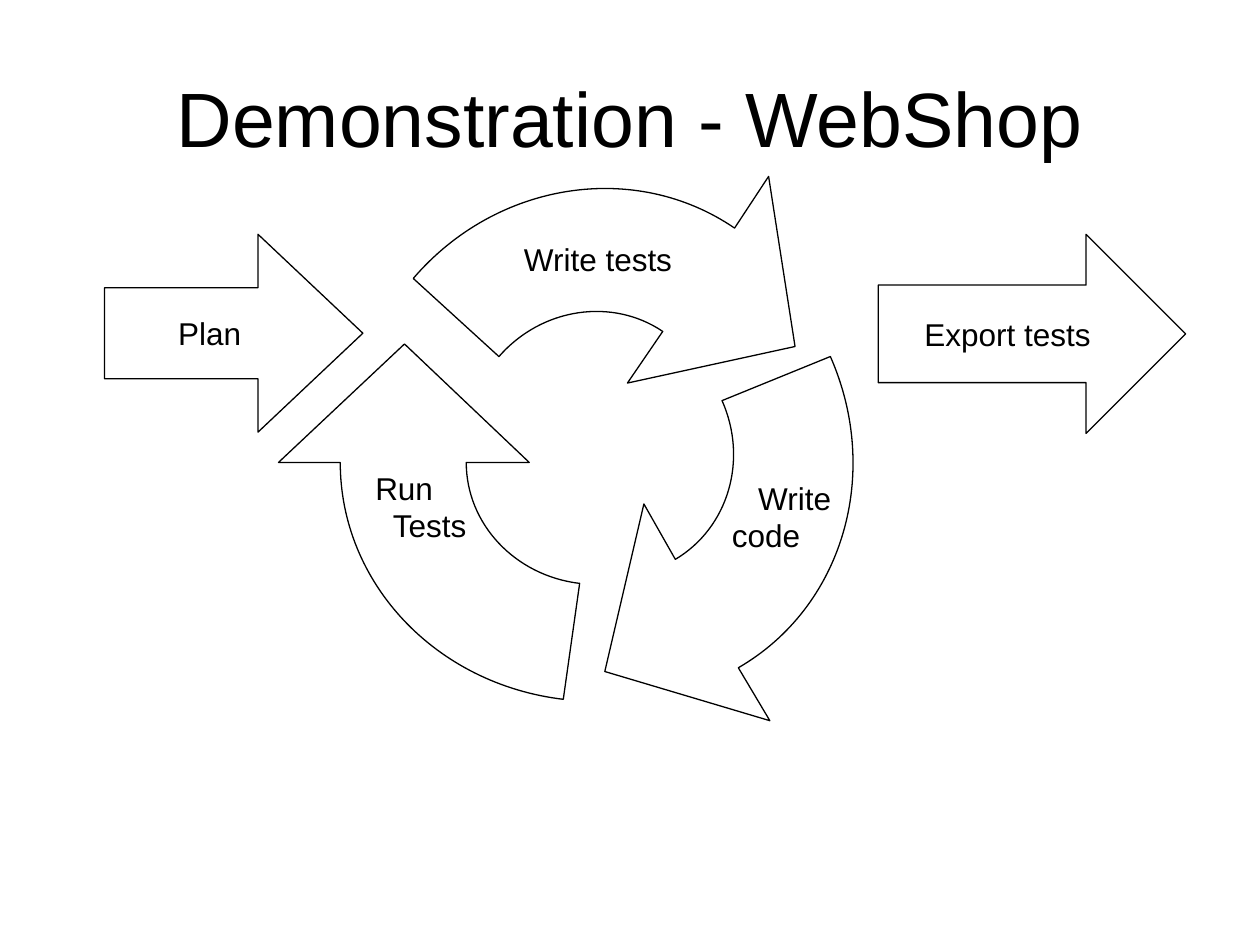
from math import cos, radians, sin

from lxml.etree import SubElement
from pptx import Presentation
from pptx.dml.color import RGBColor
from pptx.enum.shapes import MSO_SHAPE as Shape
from pptx.enum.text import MSO_ANCHOR as Anchor, PP_ALIGN as Align
from pptx.oxml.ns import qn
from pptx.util import Inches, Pt

COLUMNS, ROWS = 100, 75
CELL = Inches(0.1)
BLACK = "000000"
CYCLE_WIDTH, CYCLE_HEIGHT = 40.2, 37.8

RUN_TESTS_ARROW = [
    (37, 36.7), (37, 41.6, 40.9, 45.7, 46, 46.3),
    (44.7, 55.5), (34.6, 54.3, 27, 46.3, 27, 36.7),
    (22.1, 36.7), (32.1, 27.3), (42, 36.7),
]
WRITE_TESTS_ARROW = [
    (52.6, 26.3), (48.6, 23.6, 43, 24.4, 39.6, 28.3),
    (32.8, 22.1), (39.4, 14.4, 50.4, 12.7, 58.3, 18.1),
    (61, 14), (63.1, 27.5), (49.8, 30.4),
]
WRITE_CODE_ARROW = [
    (53.6, 44.4), (57.8, 41.9, 59.4, 36.5, 57.3, 31.8),
    (65.9, 28.3), (70, 37.6, 66.9, 48.2, 58.6, 53),
    (61.1, 57.2), (48, 53.3), (51.1, 40),
]


def grid(*cells):
    return [round(cell * CELL) for cell in cells]


def color(hex_value):
    return RGBColor.from_string(hex_value)


def format_paragraph(paragraph, size, align):
    paragraph.alignment = align
    paragraph.font.name = "Arial"
    paragraph.font.size = Pt(size)
    paragraph.font.color.rgb = color(BLACK)


def outline(arrow):
    arrow.shadow.inherit = False
    arrow.fill.background()
    arrow.line.color.rgb = color(BLACK)
    arrow.line.width = Pt(0.75)


def set_title(slide, text):
    title = slide.shapes.title
    title.left, title.top, title.width, title.height = grid(5, 3, 90, 12.5)
    title.text_frame.text = text
    title.text_frame.vertical_anchor = Anchor.MIDDLE
    format_paragraph(title.text_frame.paragraphs[0], 44, Align.CENTER)


def add_step_arrow(slide, text, box, shaft, head):
    arrow = slide.shapes.add_shape(Shape.RIGHT_ARROW, *grid(*box))
    arrow.adjustments[0] = shaft
    arrow.adjustments[1] = head
    outline(arrow)
    frame = arrow.text_frame
    frame.text = text
    frame.word_wrap = False
    frame.vertical_anchor = Anchor.MIDDLE
    format_paragraph(frame.paragraphs[0], 18, Align.CENTER)


def turn_back(x, y, left, top, rotation):
    angle = radians(rotation)
    dx = x - left - CYCLE_WIDTH / 2
    dy = y - top - CYCLE_HEIGHT / 2
    return grid(
        dx * cos(angle) + dy * sin(angle) + CYCLE_WIDTH / 2,
        dy * cos(angle) - dx * sin(angle) + CYCLE_HEIGHT / 2,
    )


def add_cycle_arrow(slide, left, top, rotation, segments):
    x, y, width, height = grid(left, top, CYCLE_WIDTH, CYCLE_HEIGHT)
    builder = slide.shapes.build_freeform(x, y)
    builder.add_line_segments([(x + width, y), (x + width, y + height), (x, y + height)])
    arrow = builder.convert_to_shape()
    arrow.rotation = rotation
    outline(arrow)

    contour = next(arrow.element.iter(qn("a:path")))
    for corner in list(contour):
        contour.remove(corner)
    for index, segment in enumerate(segments):
        command = "a:cubicBezTo" if len(segment) == 6 else "a:lnTo" if index else "a:moveTo"
        step = SubElement(contour, qn(command))
        for point in zip(segment[::2], segment[1::2]):
            local_x, local_y = turn_back(*point, left, top, rotation)
            SubElement(step, qn("a:pt"), x=str(local_x), y=str(local_y))
    SubElement(contour, qn("a:close"))


def add_label(slide, box, lines):
    frame = slide.shapes.add_textbox(*grid(*box)).text_frame
    frame.word_wrap = False
    frame.text = "\n".join(text for text, _ in lines)
    for paragraph, (_, indent) in zip(frame.paragraphs, lines):
        format_paragraph(paragraph, 18, Align.LEFT)
        if indent:
            paragraph._p.get_or_add_pPr().set("marL", str(grid(indent)[0]))


def main():
    deck = Presentation()
    deck.slide_width, deck.slide_height = grid(COLUMNS, ROWS)
    slide = deck.slides.add_slide(deck.slide_layouts[5])

    set_title(slide, "Demonstration - WebShop")
    add_step_arrow(slide, "Plan", (8.3, 18.6, 20.5, 15.7), 0.46, 0.53)
    add_cycle_arrow(slide, 27.2, 17.8, 180, RUN_TESTS_ARROW)
    add_step_arrow(slide, "Export tests", (69.7, 18.6, 24.4, 15.8), 0.49, 0.5)
    add_cycle_arrow(slide, 26.8, 15.8, 304.3, WRITE_TESTS_ARROW)
    add_cycle_arrow(slide, 28.4, 16.6, 59.8, WRITE_CODE_ARROW)
    add_label(slide, (40.6, 18.6, 13.8, 4), [("Write tests", 0)])
    add_label(slide, (57.1, 37.5, 10.6, 7), [("Write", 2.1), ("code", 0)])
    add_label(slide, (28.8, 36.7, 9.5, 7), [("Run", 0), ("Tests", 1.4)])

    deck.save("out.pptx")


if __name__ == "__main__":
    main()
